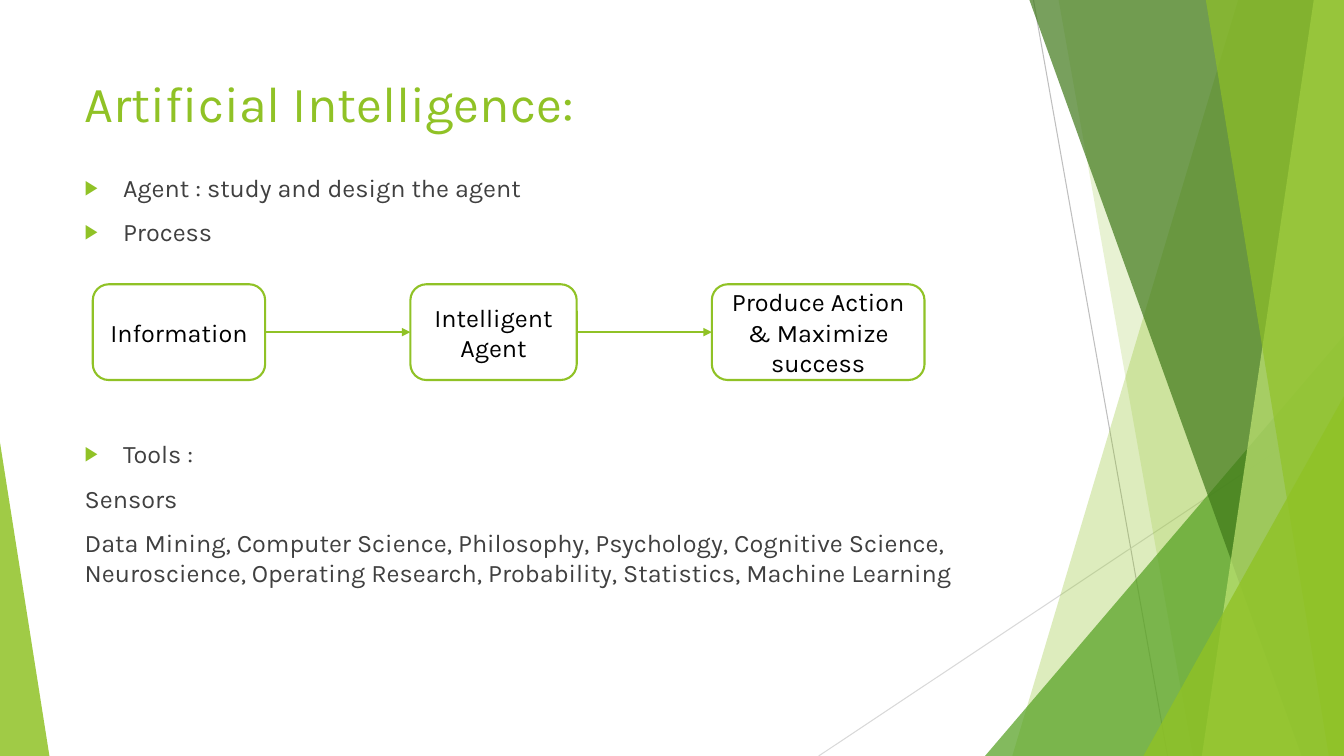
import pptx
import pptx.util
import pptx.dml.color
import pptx.enum.shapes
import pptx.enum.text
import pptx.oxml.ns
import lxml.etree

Inches, Pt = pptx.util.Inches, pptx.util.Pt
RGBColor = pptx.dml.color.RGBColor
SHAPES = pptx.enum.shapes.MSO_SHAPE
STRAIGHT = pptx.enum.shapes.MSO_CONNECTOR.STRAIGHT
ALIGN, ANCHOR = pptx.enum.text.PP_ALIGN, pptx.enum.text.MSO_ANCHOR
qn = pptx.oxml.ns.qn

LIME = RGBColor(0x90, 0xC2, 0x26)
LEAF = RGBColor(0x54, 0xA0, 0x21)
FOREST = RGBColor(0x3F, 0x78, 0x19)
PALE_LIME = RGBColor(0xC0, 0xE4, 0x74)
GREY = RGBColor(0xBF, 0xBF, 0xBF)
LIGHT_GREY = RGBColor(0xD9, 0xD9, 0xD9)
DARK = RGBColor(0x40, 0x40, 0x40)
BLACK = RGBColor(0, 0, 0)
WHITE = RGBColor(0xFF, 0xFF, 0xFF)
FONT = "Karla"
WIDTH, HEIGHT = 13.33, 7.5


def add_child(parent, tag, **attributes):
    return lxml.etree.SubElement(parent, qn(tag), attributes)


def style_text(para, size, color):
    for span in para.runs:
        span.font.name, span.font.size = FONT, Pt(size)
        span.font.color.rgb = color


def place(shape, box):
    shape.left, shape.top, shape.width, shape.height = map(Inches, box)


def paint_facet(shape, color, opacity):
    shape.shadow.inherit = False
    shape.line.fill.background()
    shape.fill.solid()
    shape.fill.fore_color.rgb = color
    color_node = shape.element.spPr.find(qn("a:solidFill"))[0]
    add_child(color_node, "a:alpha", val=str(opacity * 1000))


def add_line(page, start, end, color, weight):
    line = page.shapes.add_connector(STRAIGHT, *map(Inches, start + end))
    line.line.color.rgb, line.line.width = color, Pt(weight)
    add_child(line.element.spPr, "a:effectLst")
    return line


def add_band(page, box, top_left, top_right, bottom_left, color, opacity):
    """Four-sided band whose right edge is the right edge of the box."""
    left, top, width, height = box
    points = [(top_left, 0), (top_right, 0), (width, height), (bottom_left, height)]
    corners = [(Inches(left + x), Inches(top + y)) for x, y in points]
    outline = page.shapes.build_freeform(*corners[0])
    outline.add_line_segments(corners[1:], close=True)
    paint_facet(outline.convert_to_shape(), color, opacity)


def add_corner(page, box, peak, color, opacity):
    corner = page.shapes.add_shape(SHAPES.ISOSCELES_TRIANGLE, *map(Inches, box))
    corner.adjustments[0] = peak
    paint_facet(corner, color, opacity)


def add_facets(page, box):
    left, top, width, height = box
    right, bottom = left + width, top + height

    def corner_at_right(wide, high, color, opacity):
        add_corner(page, (right - wide, bottom - high, wide, high), 1, color, opacity)

    add_line(page, (left + 2.13, top), (left + 3.46, bottom), GREY, 0.75)
    add_line(page, (right, top + 4.03), (left, bottom), LIGHT_GREY, 0.75)
    add_band(page, box, 4.16, width, 1.92, LIME, 30)
    add_band(page, box, 2.38, width, 3.71, LIME, 20)
    corner_at_right(3.56, 4.17, LEAF, 72)
    add_band(page, box, 2.09, width, 4.79, FOREST, 70)
    add_band(page, box, 4.91, width, 3.8, PALE_LIME, 70)
    add_band(page, box, 3.84, width, 5.06, LIME, 65)
    corner_at_right(1.99, 3.57, LIME, 80)


def fill_title(page, box, text):
    title = page.shapes.title
    page.shapes.element.append(title.element)  # in front of the facets
    place(title, box)
    frame = title.text_frame
    frame.text, frame.vertical_anchor, frame.word_wrap = text, ANCHOR.TOP, True
    frame.paragraphs[0].alignment = ALIGN.LEFT
    style_text(frame.paragraphs[0], 36, LIME)


def fill_body(page, box, items):
    """Each item is its text, whether it has a bullet, and the space before."""
    body = page.placeholders[1]
    page.shapes.element.append(body.element)
    place(body, box)
    frame = body.text_frame
    frame.word_wrap, frame.vertical_anchor = True, ANCHOR.TOP
    frame.text = "\n".join(text for text, _, _ in items)
    for para, (_, bulleted, space) in zip(frame.paragraphs, items):
        para.space_before = Pt(space)
        para.alignment = ALIGN.LEFT
        style_text(para, 18, DARK)
        properties = para._p.get_or_add_pPr()
        indent = Inches(0.38) if bulleted else 0
        properties.set("marL", str(indent))
        properties.set("indent", str(-indent))
        if bulleted:
            color = add_child(properties, "a:buClr")
            add_child(color, "a:srgbClr", val=str(LIME))
            add_child(properties, "a:buSzPct", val="80000")
            add_child(properties, "a:buChar", char="\u25b6")
        else:
            add_child(properties, "a:buNone")


def add_process(page, box, steps):
    """Each step is its label, its offset in the box, and its width."""
    left, top, _, height = box
    previous = None
    for label, offset, width in steps:
        step = page.shapes.add_shape(
            SHAPES.ROUNDED_RECTANGLE, *map(Inches, (left + offset, top, width, height)))
        step.shadow.inherit = False
        step.fill.solid()
        step.fill.fore_color.rgb = WHITE
        step.line.color.rgb, step.line.width = LIME, Pt(1.5)
        frame = step.text_frame
        frame.text, frame.word_wrap = label, True
        frame.vertical_anchor = ANCHOR.MIDDLE
        frame.paragraphs[0].alignment = ALIGN.CENTER
        style_text(frame.paragraphs[0], 18, BLACK)
        if previous is not None:
            arrow = add_line(page, (0, 0), (1, 1), LIME, 1)
            arrow.begin_connect(previous, 3)
            arrow.end_connect(step, 1)
            add_child(arrow.line._get_or_add_ln(), "a:tailEnd", type="triangle")
        previous = step


def build_process_slide(deck):
    page = deck.slides.add_slide(deck.slide_layouts[1])
    # Decoration at both sides
    add_facets(page, (8.12, 0, WIDTH - 8.12, HEIGHT))
    add_corner(page, (0, 4.39, 0.49, 3.11), 0, LIME, 85)
    # Title and list, with room for the process before "Tools"
    fill_title(page, (0.74, 0.67, 9.4, 1.44), "Artificial Intelligence:")
    fill_body(page, (0.74, 1.66, 9.4, 4.95), [
        ("Agent : study and design the agent", True, 10),
        ("Process", True, 10),
        ("Tools :", True, 137),
        ("Sensors", False, 10),
        ("Data Mining, Computer Science, Philosophy, Psychology, Cognitive Science, "
         "Neuroscience, Operating Research, Probability, Statistics, Machine Learning",
         False, 10),
    ])
    # Process diagram
    add_process(page, (0.92, 2.82, 8.25, 0.95), [
        ("Information", 0, 1.71),
        ("Intelligent Agent", 3.15, 1.65),
        ("Produce Action & Maximize success", 6.14, 2.11),
    ])


deck = pptx.Presentation()
deck.slide_width, deck.slide_height = Inches(WIDTH), Inches(HEIGHT)
build_process_slide(deck)
deck.save("out.pptx")
